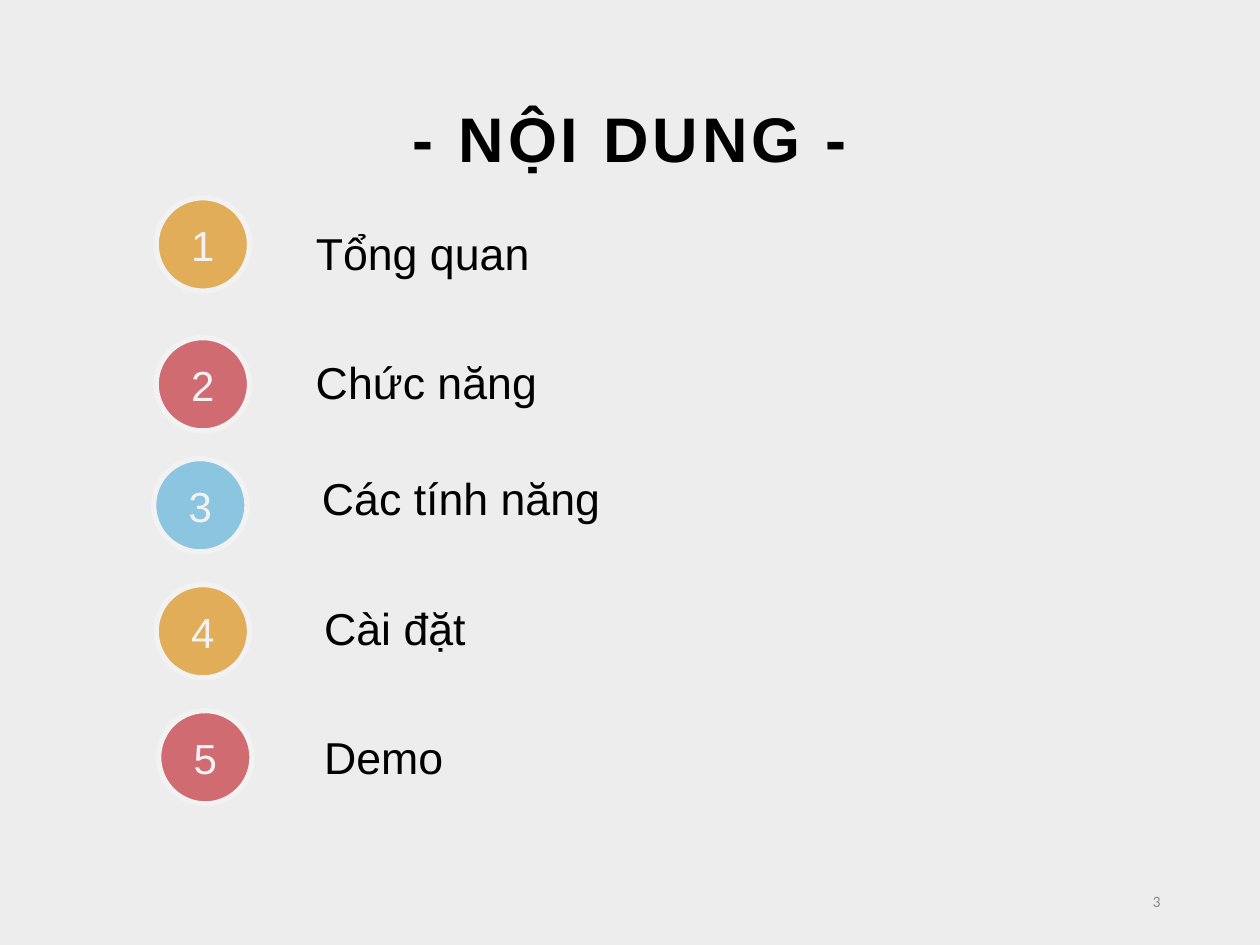
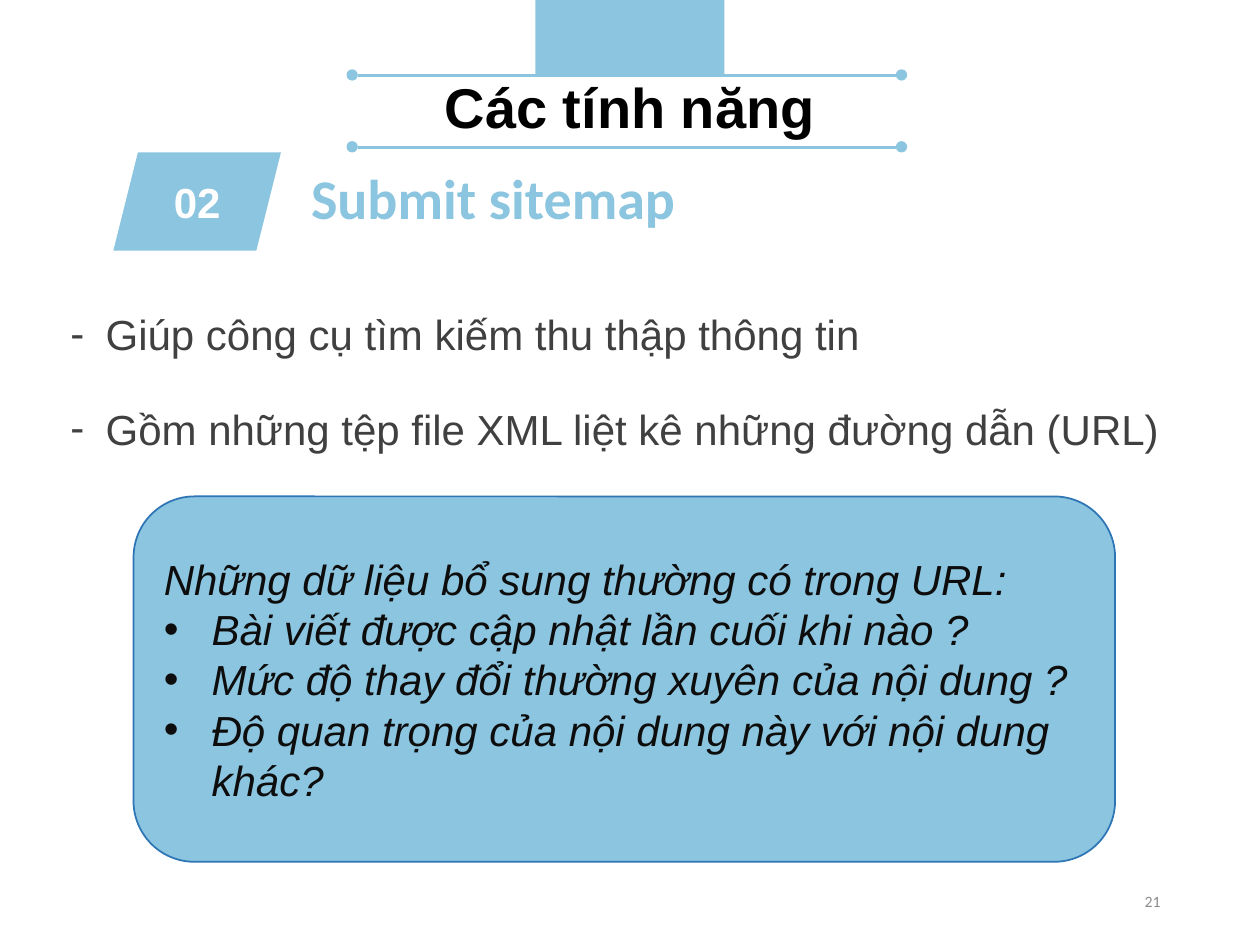
from pptx import Presentation
from pptx.dml.color import RGBColor
from pptx.enum.shapes import MSO_CONNECTOR as Link, MSO_SHAPE as Form
from pptx.enum.text import MSO_ANCHOR as Anchor, MSO_AUTO_SIZE as Fit, PP_ALIGN as Align
from pptx.oxml.ns import qn
from pptx.util import Inches, Pt
from lxml.etree import SubElement

BLUE, GOLD, RED = "8CC5DF", "E1AD58", "CF6B71"
BLACK, WHITE, PALE = "000000", "FFFFFF", "F2F2F2"
GREY, DARK, INK, EDGE = "8C8C8C", "404040", "0D0D0D", "2E75B6"


def color(code):
    return RGBColor.from_string(code)


def place(box):
    return [Inches(n) for n in box]


def new_slide(deck, back):
    slide = deck.slides.add_slide(deck.slide_layouts[6])
    slide.background.fill.solid()
    slide.background.fill.fore_color.rgb = color(back)
    return slide


def write(para, words, size, code, face="Arial", bold=False, slant=False,
          align=Align.LEFT, space=None, track=None):
    para.alignment = align
    if space:
        para.line_spacing = space
    run = para.add_run()
    run.text = words
    font = run.font
    font.name, font.size = face, Pt(size)
    font.bold, font.italic = bold, slant
    font.color.rgb = color(code)
    if track:
        run._r.get_or_add_rPr().set("spc", str(round(track * 100)))


def bullet(para, sign, depth):
    props = para._p.get_or_add_pPr()
    props.set("marL", str(Inches(depth)))
    props.set("indent", str(-Inches(depth)))
    SubElement(props, qn("a:buFont")).set("typeface", "Arial")
    SubElement(props, qn("a:buChar")).set("char", sign)


def add_text(slide, box, words, size, code, wrap=False, mid=False, **look):
    frame = slide.shapes.add_textbox(*place(box)).text_frame
    frame.word_wrap = wrap
    frame.auto_size = Fit.NONE if mid else Fit.SHAPE_TO_FIT_TEXT
    frame.vertical_anchor = Anchor.MIDDLE if mid else Anchor.TOP
    para = frame.paragraphs[0]
    write(para, words, size, code, **look)
    return para


def add_form(slide, form, box, fill, edge=None, width=1):
    shape = slide.shapes.add_shape(form, *place(box))
    shape.shadow.inherit = False
    shape.fill.solid()
    shape.fill.fore_color.rgb = color(fill)
    if edge:
        shape.line.color.rgb = color(edge)
        shape.line.width = Pt(width)
    else:
        shape.line.fill.background()
    frame = shape.text_frame
    frame.word_wrap = True
    frame.vertical_anchor = Anchor.MIDDLE
    return frame


def add_rule(slide, y):
    line = slide.shapes.add_connector(Link.STRAIGHT, *place((7.11, y, 2.84, y)))
    line.line.color.rgb = color(BLUE)
    line.line.width = Pt(2)
    SubElement(line._element.spPr, qn("a:effectLst"))
    for x in (2.75, 7.11):
        add_form(slide, Form.OVAL, (x, y - 0.05, 0.09, 0.09), BLUE)


def add_page(slide, number):
    add_text(slide, (7.06, 6.95, 2.25, 0.4), number, 9, GREY, wrap=True,
             mid=True, face="Calibri", align=Align.RIGHT)


def add_topic(slide, number, fill, spot, label, words):
    disc = add_form(slide, Form.OVAL, (*spot, 0.74, 0.74), fill, PALE, 3)
    write(disc.paragraphs[0], number, 24, PALE, align=Align.CENTER)
    add_text(slide, (*label, 0.53), words, 25.5, BLACK, align=Align.CENTER)


def add_point(slide, y, words):
    para = add_text(slide, (0.46, y, 9.15, 0.71), words, 24, DARK,
                    wrap=True, space=1.5)
    bullet(para, "-", 0.28)


def add_panel(slide, box, head, items):
    frame = add_form(slide, Form.ROUNDED_RECTANGLE, box, BLUE, EDGE)
    write(frame.paragraphs[0], head, 24, INK, slant=True)
    for item in items:
        para = frame.add_paragraph()
        write(para, item, 24, INK, slant=True)
        bullet(para, "•", 0.38)


def agenda(deck):
    slide = new_slide(deck, "EDEDED")
    add_text(slide, (3.14, 0.74, 3.72, 0.71), "- NỘI DUNG -", 36, BLACK,
             bold=True, align=Align.CENTER, track=2.2)
    topics = [
        ((1.24, 1.57), (2.4, 1.74, 1.91), "Tổng quan"),
        ((1.24, 2.68), (2.4, 2.77, 1.97), "Chức năng"),
        ((1.22, 3.64), (2.45, 3.69, 2.42), "Các tính năng"),
        ((1.24, 4.64), (2.47, 4.72, 1.33), "Cài đặt"),
        ((1.26, 5.64), (2.47, 5.74, 1.15), "Demo"),
    ]
    fills = (GOLD, RED, BLUE)
    for i, topic in enumerate(topics):
        add_topic(slide, str(i + 1), fills[i % 3], *topic)
    add_page(slide, "3")


def sitemap(deck):
    slide = new_slide(deck, WHITE)
    add_form(slide, Form.RECTANGLE, (4.25, 0, 1.5, 0.61), BLUE)
    for y in (0.6, 1.17):
        add_rule(slide, y)
    add_text(slide, (3.42, 0.53, 3.16, 0.64), "Các tính năng", 32, BLACK,
             bold=True, align=Align.CENTER)
    tag = add_form(slide, Form.PARALLELOGRAM, (0.9, 1.21, 1.33, 0.78), BLUE)
    write(tag.paragraphs[0], "02", 24, WHITE, bold=True, align=Align.CENTER)
    add_text(slide, (2.37, 1.45, 3.12, 0.47), "Submit sitemap", 32, BLUE,
             face="Calibri", bold=True, space=Pt(24))
    add_point(slide, 2.2, "Giúp công cụ tìm kiếm thu thập thông tin")
    add_point(slide, 2.95, "Gồm những tệp file XML liệt kê những đường dẫn (URL)")
    add_panel(slide, (1.06, 3.94, 7.79, 2.9),
              "Những dữ liệu bổ sung thường có trong URL:",
              ["Bài viết được cập nhật lần cuối khi nào ?",
               "Mức độ thay đổi thường xuyên của nội dung ?",
               "Độ quan trọng của nội dung này với nội dung khác?"])
    add_page(slide, "21")


def main():
    deck = Presentation()
    deck.slide_width, deck.slide_height = Inches(10), Inches(7.5)
    agenda(deck)
    sitemap(deck)
    deck.save("out.pptx")


if __name__ == "__main__":
    main()
